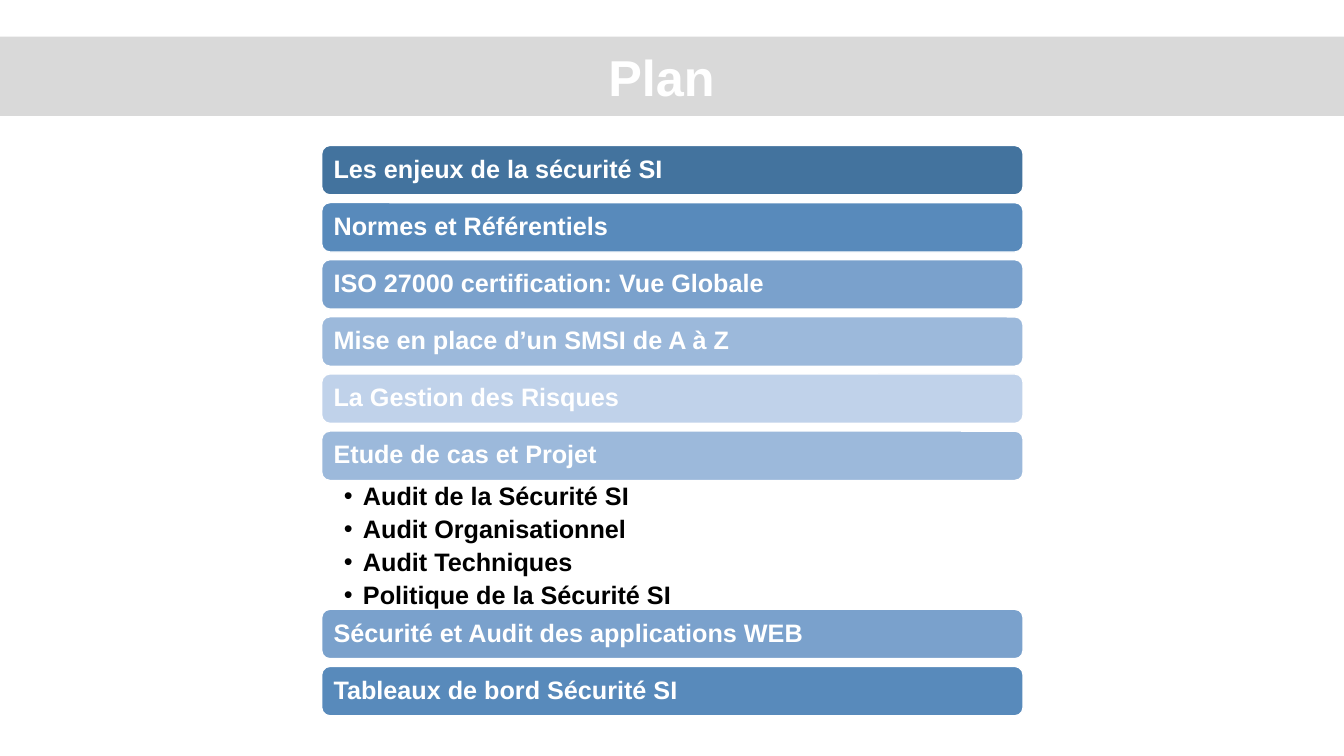
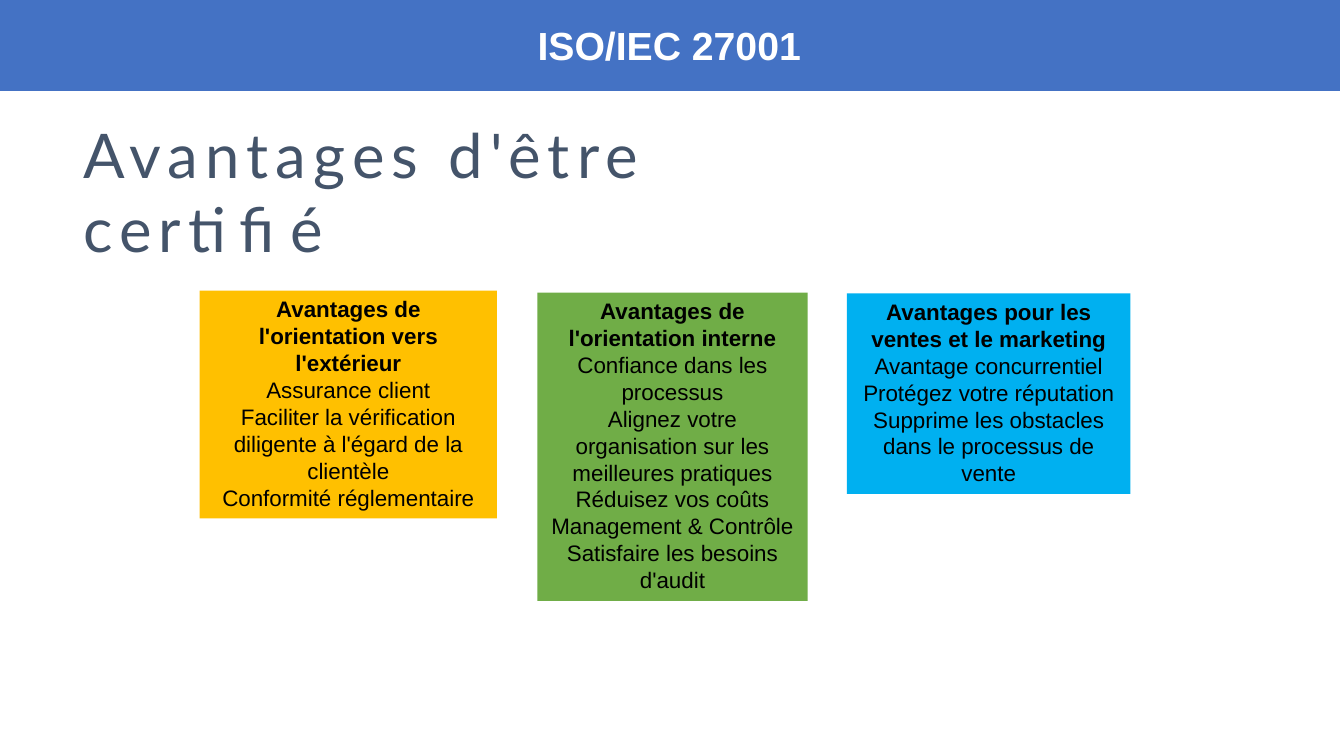
from lxml import etree
from pptx import Presentation
from pptx.dml.color import RGBColor
from pptx.enum import shapes, text
from pptx.oxml import ns
from pptx.util import Pt

SLIDE_W, SLIDE_H = 960, 540
FONT = "Arial"
COLORS = {
    "white": "FFFFFF", "black": "000000", "slate": "44546A",
    "grey": "D9D9D9", "blue": "4472C4",
    "amber": "FFC000", "green": "70AD47", "sky": "00B0F0",
    "step1": "43739E", "step2": "588ABB", "step3": "7AA1CC",
    "step4": "9CB9DB", "step5": "C0D2EA",
}
ALIGN = {"l": text.PP_ALIGN.LEFT, "c": text.PP_ALIGN.CENTER}
MIDDLE, TOP = text.MSO_ANCHOR.MIDDLE, text.MSO_ANCHOR.TOP

# Plan entries: label, colour, sub-items
PLAN = [
    ("Les enjeux de la sécurité SI", "step1", []),
    ("Normes et Référentiels", "step2", []),
    ("ISO 27000 certification: Vue Globale", "step3", []),
    ("Mise en place d’un SMSI de A à Z", "step4", []),
    ("La Gestion des Risques", "step5", []),
    ("Etude de cas et Projet", "step4",
     ["Audit de la Sécurité SI", "Audit Organisationnel",
      "Audit Techniques", "Politique de la Sécurité SI"]),
    ("Sécurité et Audit des applications WEB", "step3", []),
    ("Tableaux de bord Sécurité SI", "step2", []),
]

# Benefit cards: colour, box, heading, lines
CARDS = [
    ("amber", (142.6, 207.6, 212.4, 162.7),
     "Avantages de l'orientation vers l'extérieur",
     ["Assurance client",
      "Faciliter la vérification diligente à l'égard de la clientèle",
      "Conformité réglementaire"]),
    ("green", (383.8, 209, 193, 220.3),
     "Avantages de l'orientation interne",
     ["Confiance dans les processus",
      "Alignez votre organisation sur les meilleures pratiques",
      "Réduisez vos coûts Management & Contrôle",
      "Satisfaire les besoins d'audit"]),
    ("sky", (605, 209.5, 202.5, 143.3),
     "Avantages pour les ventes et le marketing",
     ["Avantage concurrentiel Protégez votre réputation",
      "Supprime les obstacles dans le processus de vente"]),
]


def rgb(name):
    return RGBColor.from_string(COLORS[name])


def place(sp, box):
    sp.left, sp.top, sp.width, sp.height = map(Pt, box)


def frame(sp, anchor=MIDDLE, insets=(7.2, 3.6, 7.2, 3.6)):
    """Set wrapping, anchor and left, top, right, bottom insets."""
    tf = sp.text_frame
    tf.word_wrap, tf.auto_size = True, text.MSO_AUTO_SIZE.NONE
    tf.vertical_anchor = anchor
    (tf.margin_left, tf.margin_top,
     tf.margin_right, tf.margin_bottom) = map(Pt, insets)
    return tf


def write(tf, content, size=18, color="white", bold=False, align="l",
          font=FONT, spacing=1.0, after=0, indent=0, hang=0, bullet=None,
          tracking=0):
    """Add one formatted paragraph, filling the first one if it is empty."""
    p = tf.paragraphs[0] if not tf.text else tf.add_paragraph()
    p.alignment, p.line_spacing = ALIGN[align], spacing
    p.space_before, p.space_after = Pt(0), Pt(after)
    pPr = p._p.get_or_add_pPr()
    pPr.set("marL", str(Pt(indent)))
    pPr.set("indent", str(Pt(-hang)))
    if bullet:
        etree.SubElement(pPr, ns.qn("a:buChar")).set("char", bullet)
    r = p.add_run()
    r.text = content
    r.font.name, r.font.size, r.font.bold = font, Pt(size), bold
    r.font.color.rgb = rgb(color)
    if tracking:
        r._r.get_or_add_rPr().set("spc", str(round(tracking * 100)))


def paint(sp, fill, line=None, width=1):
    sp.fill.solid()
    sp.fill.fore_color.rgb = rgb(fill)
    if line:
        sp.line.color.rgb = rgb(line)
        sp.line.width = Pt(width)
    else:
        sp.line.fill.background()


def block(s, box, fill, kind=shapes.MSO_SHAPE.RECTANGLE, **line):
    sp = s.shapes.add_shape(kind, *map(Pt, box))
    sp.shadow.inherit = False
    paint(sp, fill, **line)
    return sp


def band_text(sp, content, size, right=7.2):
    write(frame(sp, insets=(7.2, 3.6, right, 3.6)), content,
          size=size, bold=True, align="c")


def plan_list(s, box, row_h=35.3, gap=5.5, sub_h=92):
    """Stack the plan rows; sub-items sit directly below their row."""
    x, y, w = box
    for label, color, subs in PLAN:
        sp = block(s, (x, y, w, row_h), color,
                   shapes.MSO_SHAPE.ROUNDED_RECTANGLE, line="white")
        write(frame(sp, insets=(6.8, 5, 6.8, 5)), label, bold=True,
              spacing=0.9)
        y += row_h
        if not subs:
            y += gap
            continue
        body = s.placeholders[1]
        place(body, (x, y, w, sub_h))
        tf = frame(body, TOP, (15.8, 2, 10, 2))
        for sub in subs:
            write(tf, sub, color="black", bold=True, spacing=0.9, after=4.3,
                  indent=13.7, hang=13.7, bullet="•")
        y += sub_h


def card(s, box, color, heading, lines):
    tf = frame(block(s, box, color), TOP)
    write(tf, heading, size=16, color="black", bold=True, align="c")
    for line in lines:
        write(tf, line, size=16, color="black", align="c")


def plan_slide(prs):
    s = prs.slides.add_slide(prs.slide_layouts[1])
    # Title band
    title = s.shapes.title
    place(title, (0, 26.2, SLIDE_W, 56.7))
    paint(title, "grey")
    band_text(title, "Plan", 36, right=22)
    # Agenda
    plan_list(s, (229.8, 103.9, 501))


def benefits_slide(prs):
    s = prs.slides.add_slide(prs.slide_layouts[5])
    # Title
    title = s.shapes.title
    place(title, (15, 82.8, 534, 106.6))
    write(frame(title, insets=(0, 0, 0, 0)), "Avantages d'être certifié",
          size=44, color="slate", font="Lato", indent=44.6, tracking=5.1)
    # Cards
    for color, box, heading, lines in CARDS:
        card(s, box, color, heading, lines)
    # Header band
    band = block(s, (-2, -2, SLIDE_W, 67.7), "blue", line="white", width=1.5)
    band_text(band, "ISO/IEC 27001", 28)


def main():
    prs = Presentation()
    prs.slide_width, prs.slide_height = Pt(SLIDE_W), Pt(SLIDE_H)
    plan_slide(prs)
    benefits_slide(prs)
    prs.save("out.pptx")


if __name__ == "__main__":
    main()
